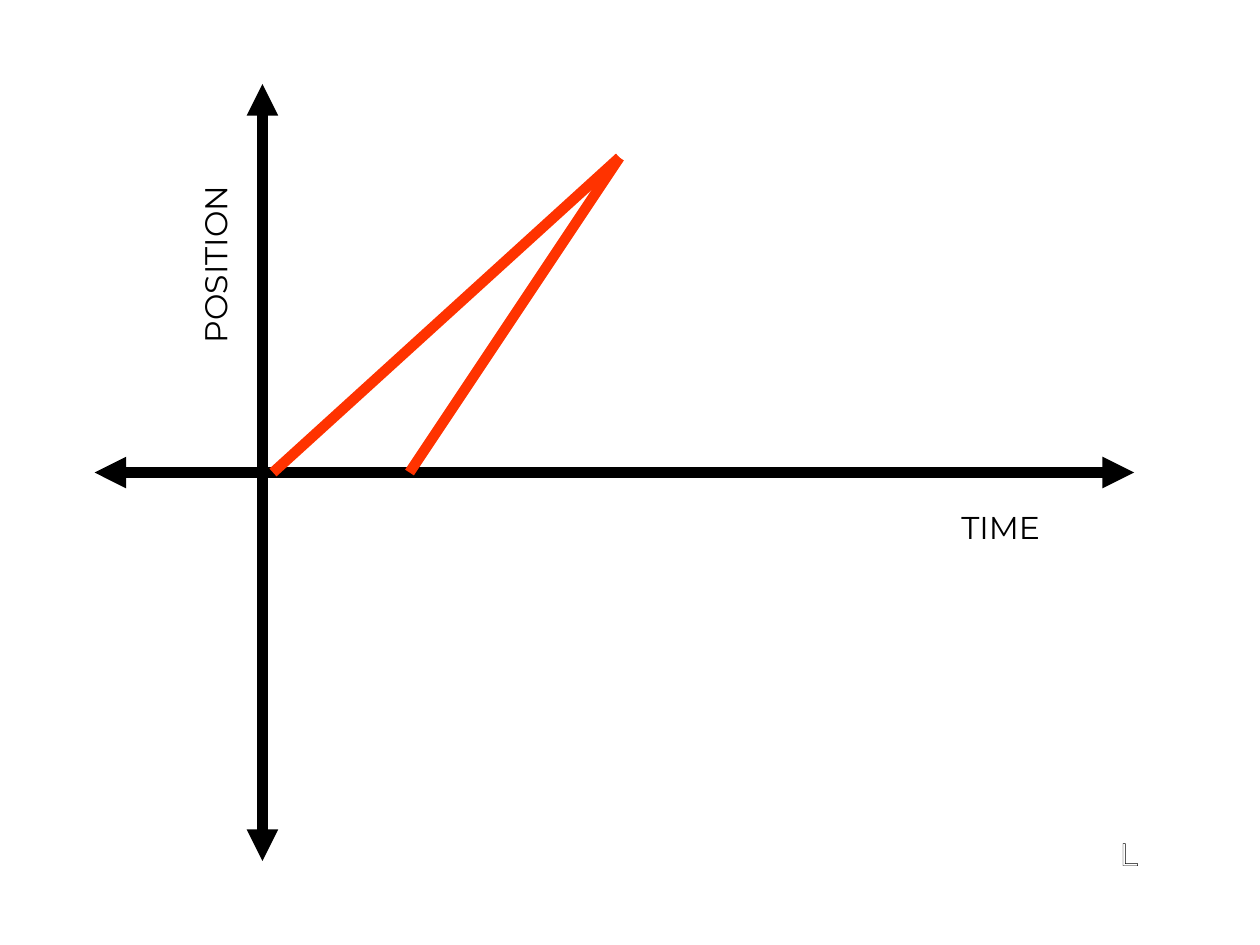
import pptx
import pptx.dml.color
import pptx.enum.shapes
import pptx.enum.text
import pptx.oxml
import pptx.oxml.ns
import pptx.util
from lxml import etree

CELL = pptx.util.Inches(10) // 12
BLACK, WHITE, ORANGE = "000000", "FFFFFF", "FF3300"


def color(hex_code):
    """Turn a hex string into a colour."""
    return pptx.dml.color.RGBColor.from_string(hex_code)


def cells(*counts):
    """Turn counts of grid cells into lengths."""
    return [pptx.util.Emu(round(count * CELL)) for count in counts]


def add_line(slide, start, end, hex_code, arrows=False):
    """Draw a thick straight line, with arrowheads at both ends on request."""
    line = slide.shapes.add_connector(
        pptx.enum.shapes.MSO_CONNECTOR.STRAIGHT, *cells(*start, *end))
    line.line.color.rgb = color(hex_code)
    line.line.width = pptx.util.Pt(6)
    properties = line._element.spPr
    if arrows:
        for tag in ("a:headEnd", "a:tailEnd"):
            etree.SubElement(properties.ln, pptx.oxml.ns.qn(tag), type="triangle")
    etree.SubElement(properties, pptx.oxml.ns.qn("a:effectLst"))


def add_label(slide, box, text, hex_code, rotation=0):
    """Write one outlined word, centred in its box."""
    label = slide.shapes.add_textbox(*cells(*box))
    label.rotation = rotation
    frame = label.text_frame
    frame.word_wrap = False
    frame.vertical_anchor = pptx.enum.text.MSO_ANCHOR.MIDDLE
    paragraph = frame.paragraphs[0]
    paragraph.alignment = pptx.enum.text.PP_ALIGN.CENTER
    paragraph.font.name = "Montserrat"
    paragraph.font.size = pptx.util.Pt(18)
    paragraph.font.color.rgb = color(hex_code)
    run = paragraph.add_run()
    run.text = text
    outline = pptx.oxml.parse_xml(
        f'<a:ln {pptx.oxml.ns.nsdecls("a")} w="{pptx.util.Pt(0.75)}">'
        f'<a:solidFill><a:srgbClr val="{BLACK}"/></a:solidFill></a:ln>')
    run._r.get_or_add_rPr().insert(0, outline)


def add_axes(slide, left, top, width, height):
    """Draw the position and time axes with their names."""
    origin_x, origin_y = left + 1.6, top + height / 2
    add_line(slide, (origin_x, top), (origin_x, top + height), BLACK, arrows=True)
    add_line(slide, (left, origin_y), (left + width, origin_y), BLACK, arrows=True)
    add_label(slide, (left - 0.17, top + 1.47, 2.63, 0.5), "POSITION", BLACK, 270)
    add_label(slide, (left + 7.7, origin_y + 0.3, 1.86, 0.43), "TIME", BLACK)


def add_motion(slide, left, top, width, height):
    """Draw the two motion lines that meet at the top right of the box."""
    peak = (left + width, top)
    for start_x in (left, left + 1.3):
        add_line(slide, (start_x, top + height), peak, ORANGE)


def main():
    """Build the position and time slide."""
    deck = pptx.Presentation()
    deck.slide_width = pptx.util.Inches(10)
    deck.slide_height = pptx.util.Inches(7.5)
    slide = deck.slides.add_slide(deck.slide_layouts[6])
    add_axes(slide, 0.9, 0.8, 9.9, 7.4)
    add_motion(slide, 2.6, 1.5, 3.3, 3)
    add_label(slide, (10.4, 7.7, 0.7, 0.85), "L", WHITE)
    deck.save("out.pptx")


if __name__ == "__main__":
    main()
